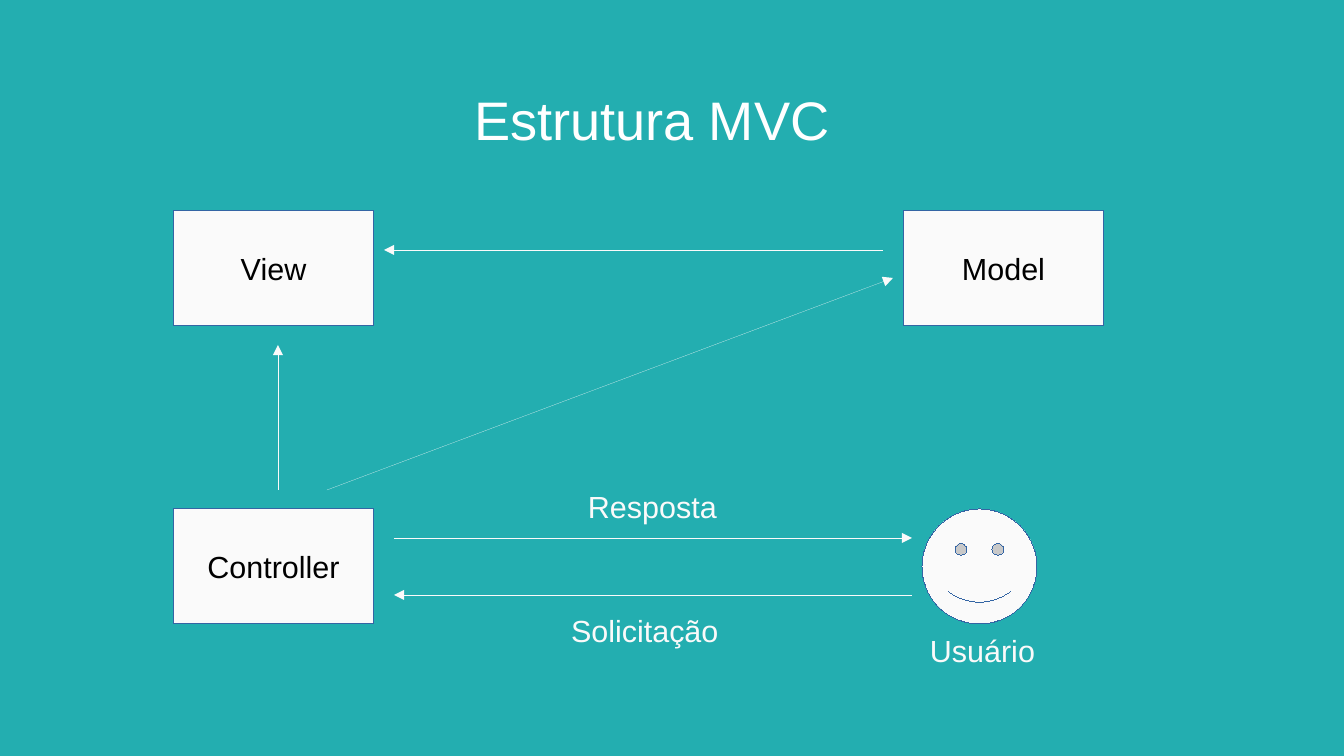
from pptx import Presentation
from pptx.dml.color import RGBColor
from pptx.enum.shapes import MSO_CONNECTOR as Conn, MSO_SHAPE as Geo
from pptx.enum.text import MSO_ANCHOR as Anchor, MSO_AUTO_SIZE as Fit, PP_ALIGN as Align
from pptx.oxml.ns import qn
from pptx.util import Pt
from lxml.etree import SubElement

SCALE = 7495  # EMU in one px
TEAL, PALE, BLUE = "23AEB0", "FAFAFA", "3465A4"
HAIR = Pt(0.01)
BOX_W, BOX_H = 201, 115
LEFT, RIGHT = 173, 903
TOP, LOW = 211, 509


def px(*nums):
    return [n * SCALE for n in nums]


def color(fmt, code):
    fmt.rgb = RGBColor.from_string(code)


def paint(fill, code):
    fill.solid()
    color(fill.fore_color, code)


def draw(line, code):
    """Make the line a hairline of one colour."""
    paint(line.fill, code)
    line.width = HAIR


def write(frame, text, size, code, align):
    frame.text = text
    par = frame.paragraphs[0]
    par.alignment = align
    font = par.runs[0].font
    font.name, font.size = "Arial", Pt(size)
    color(font.color, code)


def add_title(slide, text):
    title = slide.shapes.title
    title.left, title.top, title.width, title.height = px(47, 55, 1210, 127)
    frame = title.text_frame
    frame.margin_left = frame.margin_right = 0
    frame.margin_top = frame.margin_bottom = 0
    frame.vertical_anchor = Anchor.MIDDLE
    frame.auto_size = Fit.NONE
    write(frame, text, 32, "FFFFFF", Align.CENTER)


def add_shape(slide, kind, x, y, w, h):
    """Add a pale shape with a thin blue outline."""
    shape = slide.shapes.add_shape(kind, *px(x, y, w, h))
    shape.shadow.inherit = False
    paint(shape.fill, PALE)
    draw(shape.line, BLUE)
    return shape


def add_box(slide, text, x, y):
    frame = add_shape(slide, Geo.RECTANGLE, x, y, BOX_W, BOX_H).text_frame
    frame.word_wrap = False
    frame.vertical_anchor = Anchor.MIDDLE
    write(frame, text, 18, "000000", Align.CENTER)


def add_label(slide, text, x, y, w):
    frame = slide.shapes.add_textbox(*px(x, y, w, 46)).text_frame
    frame.word_wrap = False
    frame.auto_size = Fit.SHAPE_TO_FIT_TEXT
    write(frame, text, 18, PALE, Align.LEFT)


def add_arrow(slide, x1, y1, x2, y2):
    arrow = slide.shapes.add_connector(Conn.STRAIGHT, *px(x1, y1, x2, y2))
    draw(arrow.line, PALE)
    SubElement(arrow.line._get_or_add_ln(), qn("a:tailEnd"), type="triangle")
    SubElement(arrow._element.spPr, qn("a:effectLst"))


def main():
    deck = Presentation()
    deck.slide_width, deck.slide_height = px(1344, 756)
    slide = deck.slides.add_slide(deck.slide_layouts[5])
    paint(slide.background.fill, TEAL)

    add_title(slide, "Estrutura MVC")
    for text, x, y in (
        ("Controller", LEFT, LOW),
        ("View", LEFT, TOP),
        ("Model", RIGHT, TOP),
    ):
        add_box(slide, text, x, y)
    face = add_shape(slide, Geo.SMILEY_FACE, 922, LOW, BOX_H, BOX_H)
    face.adjustments[0] = 0.093

    for text, x, y, w in (
        ("Usuário", 918, 626, 134),
        ("Solicitação", 559, 606, 174),
        ("Resposta", 576, 482, 156),
    ):
        add_label(slide, text, x, y, w)

    for ends in (
        (394, 538, 912, 538),  # Controller to user
        (912, 595, 394, 595),  # user to Controller
        (327, 490, 893, 278),  # Controller to Model
        (883, 250, 384, 250),  # Model to View
        (278, 490, 278, 345),  # Controller to View
    ):
        add_arrow(slide, *ends)

    deck.save("out.pptx")


if __name__ == "__main__":
    main()
